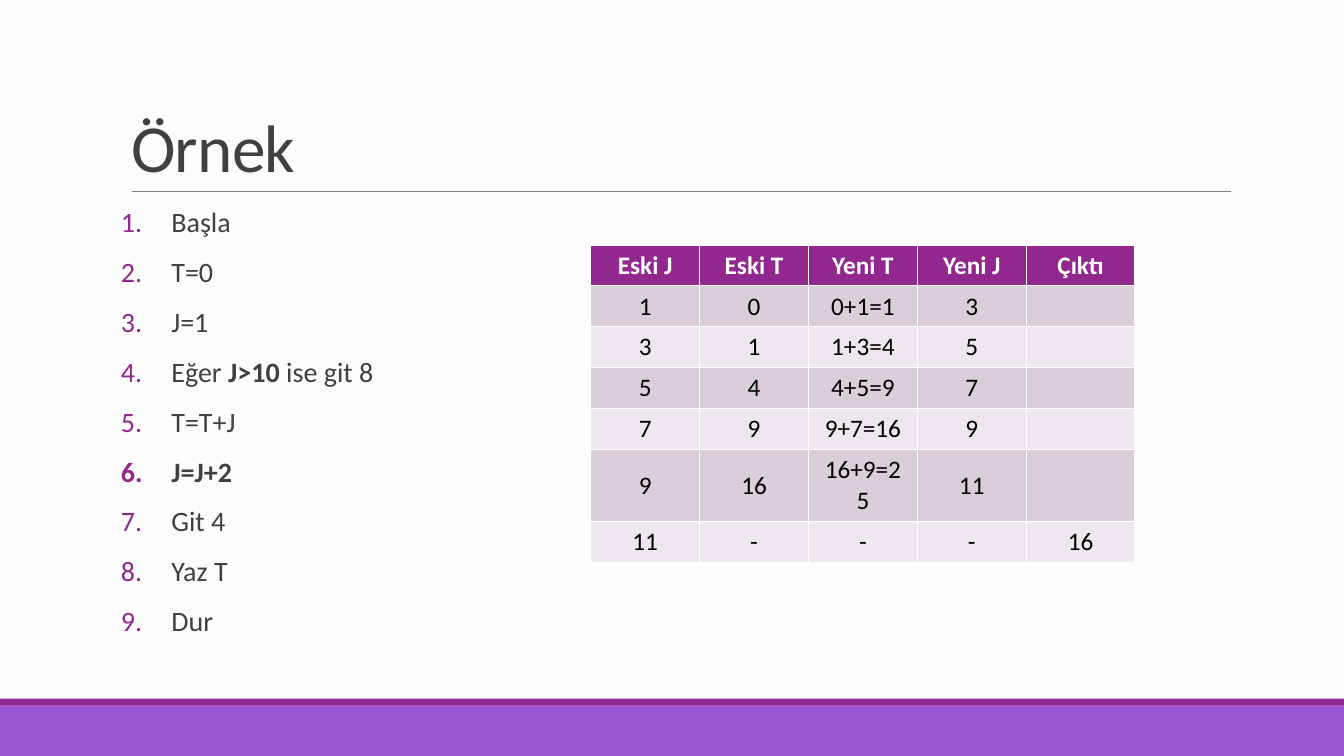
"""Build the slide "Örnek": a numbered algorithm beside its trace table."""
from dataclasses import dataclass

from lxml import etree
from pptx import Presentation
from pptx.dml.color import RGBColor
from pptx.enum.shapes import MSO_CONNECTOR, MSO_SHAPE
from pptx.enum.text import MSO_ANCHOR, MSO_AUTO_SIZE, PP_ALIGN
from pptx.oxml.ns import qn
from pptx.shapes.base import BaseShape
from pptx.slide import Slide
from pptx.text.text import _Paragraph
from pptx.util import Emu, Inches, Pt

RECTANGLE = MSO_SHAPE.RECTANGLE
STRAIGHT = MSO_CONNECTOR.STRAIGHT
TOP, MIDDLE, BOTTOM = MSO_ANCHOR.TOP, MSO_ANCHOR.MIDDLE, MSO_ANCHOR.BOTTOM
LEFT, CENTER = PP_ALIGN.LEFT, PP_ALIGN.CENTER
NO_AUTOFIT = MSO_AUTO_SIZE.NONE

BACKGROUND = RGBColor(0xFC, 0xFC, 0xFC)
PURPLE = RGBColor(0x92, 0x27, 0x8F)
VIOLET = RGBColor(0x9B, 0x57, 0xD3)
GRAY = RGBColor(0x80, 0x80, 0x80)
DARK = RGBColor(0x40, 0x40, 0x40)
WHITE = RGBColor(0xFF, 0xFF, 0xFF)
BLACK = RGBColor(0x00, 0x00, 0x00)
BAND_DARK = RGBColor(0xDC, 0xCD, 0xDB)
BAND_LIGHT = RGBColor(0xEE, 0xE8, 0xEE)

FONT = "Calibri"
SLIDE_WIDTH, SLIDE_HEIGHT = Inches(13.33), Inches(7.5)


@dataclass(frozen=True)
class Area:
    """A rectangle in percent of the slide's width and height."""

    left: float
    top: float
    width: float
    height: float

    def box(self) -> tuple[Emu, Emu, Emu, Emu]:
        """Return left, top, width and height as lengths."""
        return (across(self.left), down(self.top),
                across(self.width), down(self.height))


@dataclass(frozen=True)
class Bar:
    """A filled strip at the foot of the slide."""

    area: Area
    color: RGBColor


@dataclass(frozen=True)
class Part:
    """A stretch of step text, plain or bold."""

    text: str
    bold: bool = False


BARS = (
    Bar(Area(0, 93.33, 100, 6.67), VIOLET),
    Bar(Area(0, 92.4, 100, 0.93), PURPLE),
)
RULE = Area(9.83, 25.33, 81.77, 0)
TITLE = Area(9, 4.13, 82.5, 21.2)
BODY = Area(9, 26.93, 40.5, 58.67)
TABLE = Area(43.96, 32.4, 40.5, 37.94)
NUMBER_INDENT = 3.75

STEPS = (
    (Part("Başla"),),
    (Part("T=0"),),
    (Part("J=1"),),
    (Part("Eğer "), Part("J>10", True), Part(" ise git 8")),
    (Part("T=T+J"),),
    (Part("J=J+2", True),),
    (Part("Git 4"),),
    (Part("Yaz T"),),
    (Part("Dur"),),
)
TRACE = (
    ("Eski J", "Eski T", "Yeni T", "Yeni J", "Çıktı"),
    ("1", "0", "0+1=1", "3", ""),
    ("3", "1", "1+3=4", "5", ""),
    ("5", "4", "4+5=9", "7", ""),
    ("7", "9", "9+7=16", "9", ""),
    ("9", "16", "16+9=25", "11", ""),
    ("11", "-", "-", "-", "16"),
)


def across(percent: float) -> Emu:
    """Turn a percentage of the slide's width into a length."""
    return Emu(round(SLIDE_WIDTH * percent / 100))


def down(percent: float) -> Emu:
    """Turn a percentage of the slide's height into a length."""
    return Emu(round(SLIDE_HEIGHT * percent / 100))


def place(shape: BaseShape, area: Area) -> None:
    """Move and size a shape to fill an area."""
    shape.left, shape.top, shape.width, shape.height = area.box()


def set_font(paragraph: _Paragraph, size: float, color: RGBColor) -> None:
    """Give a paragraph its font, size and colour."""
    font = paragraph.font
    font.name, font.size = FONT, Pt(size)
    font.color.rgb = color


def add_bar(slide: Slide, bar: Bar) -> None:
    """Draw one strip without outline or shadow."""
    shape = slide.shapes.add_shape(RECTANGLE, *bar.area.box())
    shape.shadow.inherit = False
    shape.fill.solid()
    shape.fill.fore_color.rgb = bar.color
    shape.line.fill.background()


def add_rule(slide: Slide) -> None:
    """Draw the thin line under the title."""
    left, top, width, height = RULE.box()
    rule = slide.shapes.add_connector(STRAIGHT, left, top, left + width, top + height)
    rule.line.color.rgb = GRAY
    rule.line.width = Pt(0.5)
    etree.SubElement(rule._element.spPr, qn("a:effectLst"))


def fill_title(slide: Slide) -> None:
    """Write the title in its placeholder."""
    title = slide.shapes.title
    place(title, TITLE)
    frame = title.text_frame
    frame.text = "Örnek"
    frame.auto_size = NO_AUTOFIT
    frame.vertical_anchor = BOTTOM
    paragraph = frame.paragraphs[0]
    paragraph.alignment = LEFT
    paragraph.line_spacing = 0.85
    set_font(paragraph, 48, DARK)
    paragraph.runs[0]._r.get_or_add_rPr().set("spc", "-50")


def number(paragraph: _Paragraph) -> None:
    """Give a paragraph a purple automatic number and a hanging indent."""
    properties = paragraph._p.get_or_add_pPr()
    indent = across(NUMBER_INDENT)
    properties.set("marL", str(indent))
    properties.set("indent", str(-indent))
    color = etree.SubElement(properties, qn("a:buClr"))
    etree.SubElement(color, qn("a:srgbClr"), val=str(PURPLE))
    etree.SubElement(properties, qn("a:buFont"), typeface="+mj-lt")
    etree.SubElement(properties, qn("a:buAutoNum"), type="arabicPeriod")


def fill_steps(slide: Slide) -> None:
    """Write the numbered steps in the body placeholder."""
    body = slide.placeholders[1]
    place(body, BODY)
    frame = body.text_frame
    frame.auto_size = NO_AUTOFIT
    frame.vertical_anchor = TOP
    frame.margin_left = frame.margin_right = 0
    for index, parts in enumerate(STEPS):
        paragraph = frame.add_paragraph() if index else frame.paragraphs[0]
        paragraph.line_spacing = 0.9
        paragraph.space_before, paragraph.space_after = Pt(12), Pt(2)
        number(paragraph)
        set_font(paragraph, 20, DARK)
        for part in parts:
            run = paragraph.add_run()
            run.text = part.text
            run.font.bold = part.bold


def add_trace(slide: Slide) -> None:
    """Draw the trace table with a purple header and banded rows."""
    frame = slide.shapes.add_table(len(TRACE), len(TRACE[0]), *TABLE.box())
    for row, values in enumerate(TRACE):
        header = row == 0
        band = BAND_DARK if row % 2 else BAND_LIGHT
        for column, value in enumerate(values):
            cell = frame.table.cell(row, column)
            cell.text = value
            cell.vertical_anchor = MIDDLE
            cell.fill.solid()
            cell.fill.fore_color.rgb = PURPLE if header else band
            paragraph = cell.text_frame.paragraphs[0]
            paragraph.alignment = CENTER
            set_font(paragraph, 18, WHITE if header else BLACK)
            paragraph.font.bold = header


def main() -> None:
    """Build the presentation and save it."""
    presentation = Presentation()
    presentation.slide_width, presentation.slide_height = SLIDE_WIDTH, SLIDE_HEIGHT
    slide = presentation.slides.add_slide(presentation.slide_layouts[1])
    slide.background.fill.solid()
    slide.background.fill.fore_color.rgb = BACKGROUND
    for bar in BARS:
        add_bar(slide, bar)
    add_rule(slide)
    fill_title(slide)
    fill_steps(slide)
    add_trace(slide)
    presentation.save("out.pptx")


if __name__ == "__main__":
    main()
